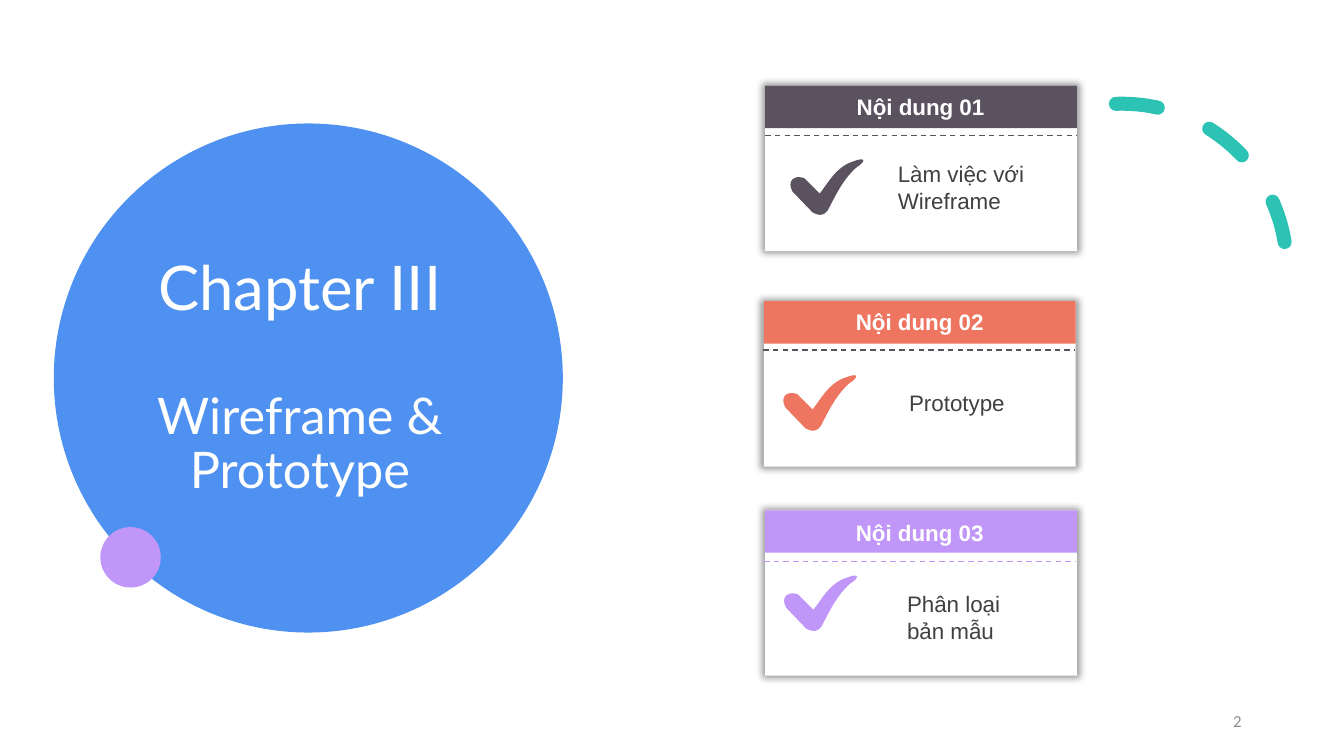
from collections import namedtuple

from lxml.etree import SubElement
from pptx import Presentation
from pptx.dml.color import RGBColor
from pptx.enum.dml import MSO_LINE
from pptx.enum.shapes import MSO_CONNECTOR, MSO_SHAPE
from pptx.enum.text import MSO_ANCHOR as Anchor, MSO_AUTO_SIZE as AutoSize, PP_ALIGN as Align
from pptx.oxml.ns import qn
from pptx.util import Emu, Pt

COLUMNS, ROWS = 32, 18
CELL = 381000  # EMU, one square grid cell
TITLE_ONLY = 5

WHITE, BLUE, TEAL = "FFFFFF", "4E91F0", "2CC3B4"
SLATE, CORAL, LILAC = "5B5260", "EE7661", "C097F8"
INK, GREY = "404040", "8C8C8C"

CARD_WIDTH, CARD_HEIGHT, BAND_HEIGHT = 7.42, 3.94, 1.01

# Tick outline in hundredths of a cell: two straight steps, the others cubic curves.
TICK_START = (70, 82)
TICK_STEPS = [
    [(34, 46)],
    [(12, 36), (-10, 50), (5, 77)],
    [(53, 127)],
    [(67, 134), (77, 137), (89, 122)],
    [(108, 86), (125, 48), (158, 19)],
    [(178, 7), (182, -7), (151, 5)],
    [(110, 17), (91, 55), (70, 82)],
]

# Places are grid positions; rule is the start of the dashed line.
Card = namedtuple("Card", "corner colour rule_colour rule heading heading_at tick text label")
CARDS = [
    Card((18.22, 2.04), SLATE, SLATE, (18.22, 3.22), "Nội dung 01", (19.52, 2.09),
         (18.82, 3.79), "Làm việc với Wireframe", (21.14, 3.68, 3.79, 1.54)),
    Card((18.19, 7.17), CORAL, SLATE, (18.17, 8.33), "Nội dung 02", (19.5, 7.22),
         (18.65, 8.93), "Prototype", (21.41, 9.14, 3.31, 0.89)),
    Card((18.22, 12.15), LILAC, LILAC, (18.19, 13.37), "Nội dung 03", (19.5, 12.23),
         (18.67, 13.7), "Phân loại bản mẫu", (21.36, 13.92, 3.31, 1.54)),
]


def rgb(hex_colour):
    return RGBColor.from_string(hex_colour)


def cells(*counts):
    return [Emu(round(count * CELL)) for count in counts]


def bend(freeform, steps):
    """Turn each run of three line segments that stands for a curve into one cubic."""
    segments = iter(list(freeform._element.iter(qn("a:lnTo"))))
    for step in steps:
        first, *others = [next(segments) for _ in step]
        if others:
            first.tag = qn("a:cubicBezTo")
        for segment in others:
            first.append(segment[0])
            segment.getparent().remove(segment)


class SlideBuilder:
    def __init__(self, slide):
        self.slide = slide
        self.shapes = slide.shapes

    def filled(self, shape, colour):
        shape.shadow.inherit = False
        shape.fill.solid()
        shape.fill.fore_color.rgb = rgb(colour)
        shape.line.fill.background()
        return shape

    def block(self, kind, box, colour, shapes=None):
        target = self.shapes if shapes is None else shapes
        return self.filled(target.add_shape(kind, *cells(*box)), colour)

    def soft_shadow(self, shape):
        effects = shape._element.spPr.find(qn("a:effectLst"))
        shadow = SubElement(effects, qn("a:outerShdw"), blurRad=str(Pt(5)), sx="102000",
                            sy="102000", algn="ctr", rotWithShape="0")
        colour = SubElement(shadow, qn("a:srgbClr"), val="000000")
        SubElement(colour, qn("a:alpha"), val="40000")

    def dashed(self, line, colour, width):
        line.color.rgb = rgb(colour)
        line.width = Pt(width)
        line.dash_style = MSO_LINE.DASH

    def arc(self, box, angles, rotation, colour, width):
        shape = self.shapes.add_shape(MSO_SHAPE.ARC, *cells(*box))
        shape.shadow.inherit = False
        shape.fill.background()
        shape.adjustments[0], shape.adjustments[1] = angles
        shape.rotation = rotation
        self.dashed(shape.line, colour, width)
        shape._element.spPr.find(qn("a:ln")).set("cap", "rnd")

    def rule(self, start, length, colour, shapes):
        x, y = start
        line = shapes.add_connector(MSO_CONNECTOR.STRAIGHT, *cells(x, y, x + length, y))
        self.dashed(line.line, colour, 1)
        SubElement(line._element.spPr, qn("a:effectLst"))

    def tick(self, position, colour):
        builder = self.shapes.build_freeform(*TICK_START, scale=CELL / 100)
        builder.add_line_segments([point for step in TICK_STEPS for point in step])
        tick = builder.convert_to_shape(*cells(*position))
        bend(tick, TICK_STEPS)
        self.filled(tick, colour)

    def style(self, paragraph, size, colour, font, align, bold=False):
        paragraph.alignment = align
        for run in paragraph.runs:
            run.font.size = Pt(size)
            run.font.name = font
            run.font.bold = bold
            run.font.color.rgb = rgb(colour)

    def frame(self, shape):
        frame = shape.text_frame
        frame.word_wrap = True
        frame.auto_size = AutoSize.NONE
        frame.vertical_anchor = Anchor.MIDDLE
        return frame

    def text(self, box, text, size, colour, font="Arial", align=Align.LEFT, bold=False):
        frame = self.frame(self.shapes.add_textbox(*cells(*box)))
        frame.text = text
        self.style(frame.paragraphs[0], size, colour, font, align, bold)

    def title(self, box, lines, gap):
        """Fill the title with (text, size) lines and bring it to the front."""
        title = self.shapes.title
        title.left, title.top, title.width, title.height = cells(*box)
        frame = self.frame(title)
        frame.text = "\n".join(text for text, _ in lines)
        for paragraph, (_, size) in zip(frame.paragraphs, lines):
            self.style(paragraph, size, WHITE, "Lato", Align.CENTER)
            paragraph.line_spacing = 0.9
            paragraph.space_before = Pt(0)
        frame.paragraphs[-1].space_before = Pt(gap)
        title._element.getparent().append(title._element)

    def card(self, card):
        group = self.shapes.add_group_shape().shapes
        panel = (*card.corner, CARD_WIDTH, CARD_HEIGHT)
        self.soft_shadow(self.block(MSO_SHAPE.RECTANGLE, panel, WHITE, group))
        band = (*card.corner, CARD_WIDTH, BAND_HEIGHT)
        self.block(MSO_SHAPE.RECTANGLE, band, card.colour, group)
        self.rule(card.rule, CARD_WIDTH, card.rule_colour, group)
        self.tick(card.tick, card.colour)
        self.text(card.label, card.text, 16, INK)
        self.text((*card.heading_at, 4.8, 0.89), card.heading, 16, WHITE,
                  align=Align.CENTER, bold=True)


def main():
    presentation = Presentation()
    presentation.slide_width, presentation.slide_height = cells(COLUMNS, ROWS)
    layout = presentation.slide_layouts[TITLE_ONLY]
    builder = SlideBuilder(presentation.slides.add_slide(layout))

    builder.block(MSO_SHAPE.OVAL, (1.28, 2.94, 12.12, 12.12), BLUE)
    builder.arc((22.79, 2.47, 7.85, 7.85), (158.17, 17.81), 330.2, TEAL, 10)
    builder.block(MSO_SHAPE.OVAL, (2.39, 12.55, 1.44, 1.44), LILAC)
    builder.title((2.71, 3.67, 8.86, 10.68),
                  [("Chapter III", 44), ("Wireframe & Prototype", 36)], gap=48)
    builder.text((22.6, 16.68, 7.2, 0.96), "2", 12, GREY, "Calibri", Align.RIGHT)
    for card in CARDS:
        builder.card(card)

    presentation.save("out.pptx")


if __name__ == "__main__":
    main()
